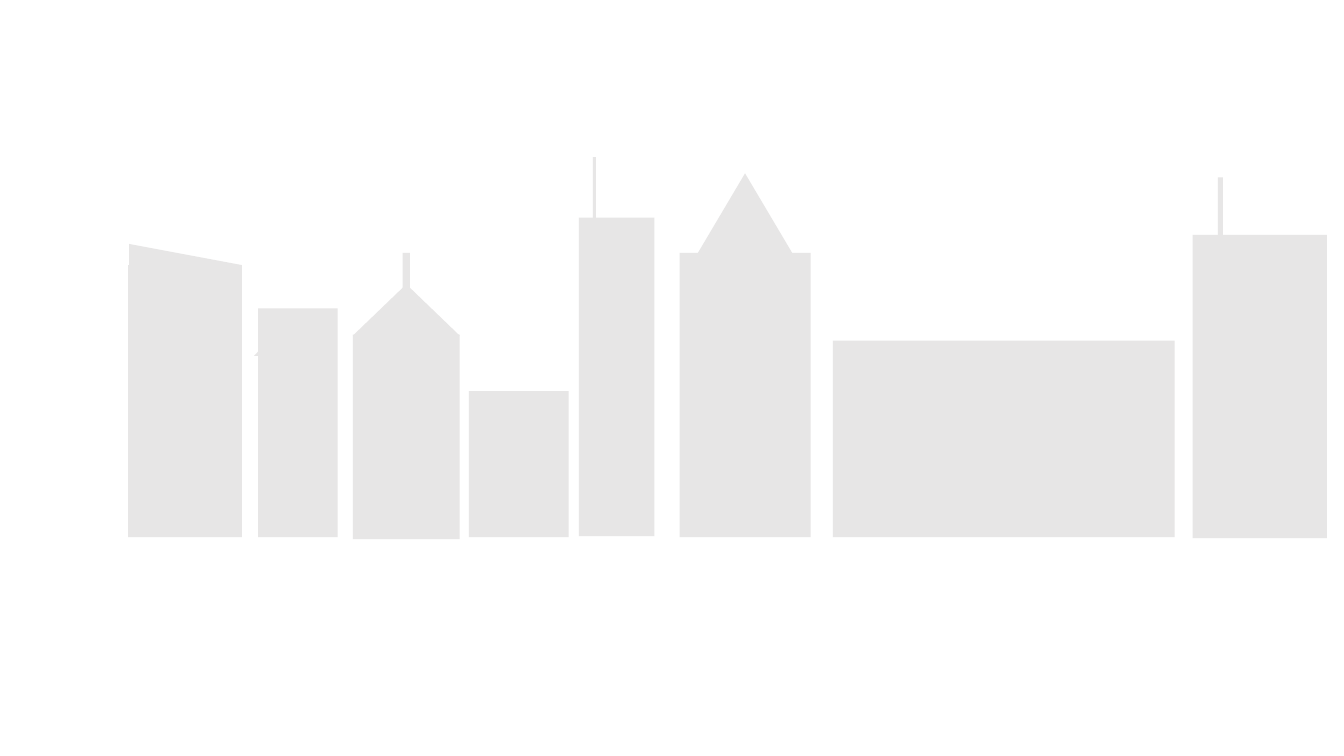
from pptx import Presentation
from pptx.dml.color import RGBColor
from pptx.enum.shapes import MSO_SHAPE
from pptx.util import Inches

WALL = "E7E6E6"


def color(hex_value):
    return RGBColor.from_string(hex_value)


def add_part(skyline, left, top, width, height, kind=MSO_SHAPE.RECTANGLE):
    part = skyline.shapes.add_shape(
        kind, Inches(left), Inches(top), Inches(width), Inches(height))
    part.shadow.inherit = False
    part.fill.solid()
    part.fill.fore_color.rgb = color(WALL)
    part.line.fill.background()
    return part


def add_antenna_tower(skyline, left, top, width, height, offset, mast):
    mast_width, mast_height, rise = mast
    add_part(skyline, left, top, width, height)
    add_part(skyline, left + offset, top - rise, mast_width, mast_height)


def add_gabled_house(skyline, left, top, width, height):
    add_part(skyline, left, top, width, height)
    add_part(skyline, left, top - 0.5, width, 0.51, MSO_SHAPE.ISOSCELES_TRIANGLE)
    add_part(skyline, left + (width - 0.07) / 2, top - 0.81, 0.07, 0.4)


def add_spire_tower(skyline, left, top, width, height):
    add_part(skyline, left, top, width, height)
    add_part(skyline, left + (width - 0.96) / 2, top - 0.79, 0.96, 0.81,
             MSO_SHAPE.ISOSCELES_TRIANGLE)


def add_ledge_tower(skyline, left, top, width, height):
    eave = add_part(skyline, left - 0.04, top + 0.35, width, 0.12,
                    MSO_SHAPE.TRAPEZOID)
    add_part(skyline, left, top, width, height)
    canopy = add_part(skyline, left + 0.22, top + 0.23, 0.26, 0.12,
                      MSO_SHAPE.TRAPEZOID)
    for ledge in (eave, canopy):
        ledge.adjustments[0] = 0.955


def add_slanted_tower(skyline, left, top, width, height):
    add_part(skyline, left, top, width, height)
    add_part(skyline, left + 0.01, top - 0.21, width - 0.01, 0.21,
             MSO_SHAPE.RIGHT_TRIANGLE)


def add_skyline(slide):
    skyline = slide.shapes.add_group_shape()
    add_part(skyline, 8.26, 3.38, 3.39, 1.95)
    add_part(skyline, 4.65, 3.88, 0.99, 1.45)
    add_antenna_tower(skyline, 5.74, 2.16, 0.75, 3.16, 0.14, (0.03, 0.69, 0.6))
    add_gabled_house(skyline, 3.5, 3.32, 1.06, 2.03)
    add_spire_tower(skyline, 6.74, 2.51, 1.3, 2.82)
    add_ledge_tower(skyline, 2.56, 3.06, 0.79, 2.27)
    add_antenna_tower(skyline, 11.83, 2.33, 1.33, 3.01, 0.25, (0.05, 0.66, 0.57))
    add_slanted_tower(skyline, 1.27, 2.63, 1.13, 2.7)


def main():
    presentation = Presentation()
    presentation.slide_width = Inches(13.33)
    presentation.slide_height = Inches(7.5)
    slide = presentation.slides.add_slide(presentation.slide_layouts[6])
    slide.background.fill.solid()
    slide.background.fill.fore_color.rgb = color("FFFFFF")
    add_skyline(slide)
    presentation.save("out.pptx")


if __name__ == "__main__":
    main()
